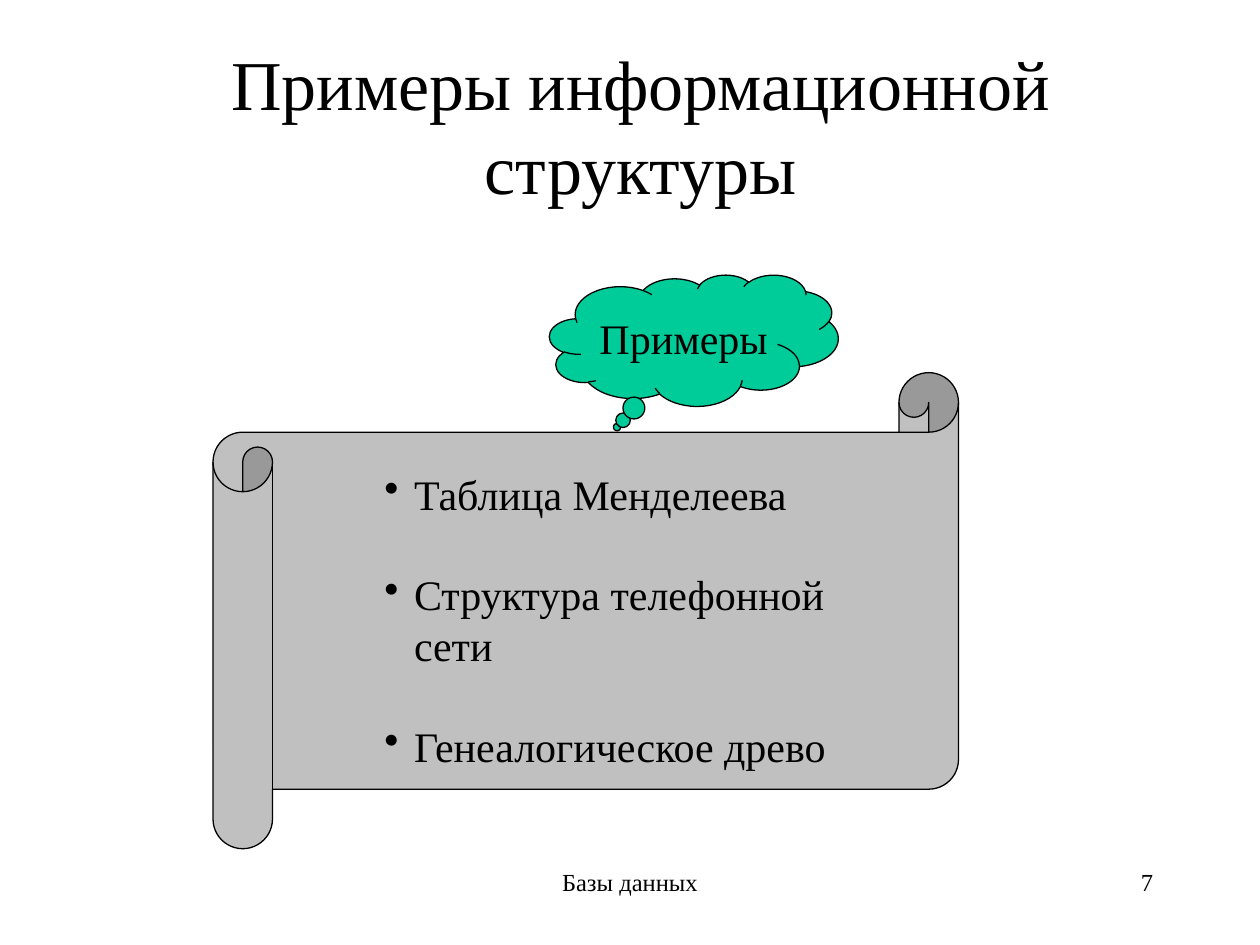
from pptx import Presentation
from pptx.dml.color import RGBColor
from pptx.enum.shapes import MSO_SHAPE
from pptx.enum.text import MSO_ANCHOR, PP_ALIGN
from pptx.oxml.ns import qn
from pptx.util import Pt
from lxml.etree import SubElement

COLORS = {"ink": "000000", "scroll": "C0C0C0", "cloud": "00CC99"}
FONT = "Times New Roman"
INDENT = 17


class Deck:
    def __init__(self):
        self.prs = Presentation()
        self.prs.slide_width, self.prs.slide_height = Pt(720), Pt(540)
        self.slide = self.prs.slides.add_slide(self.prs.slide_layouts[6])

    def color(self, name):
        return RGBColor.from_string(COLORS[name])

    def fill_text(self, frame, lines, size, align, anchor=MSO_ANCHOR.TOP, wrap=True):
        frame.word_wrap = wrap
        frame.vertical_anchor = anchor
        frame.text = "\n".join(lines)
        for para in frame.paragraphs:
            para.alignment = align
            para.line_spacing = Pt(size * 1.2)
            para.font.size = Pt(size)
            para.font.name = FONT
            para.font.color.rgb = self.color("ink")

    def text(self, box, lines, size, align, anchor=MSO_ANCHOR.TOP):
        frame = self.slide.shapes.add_textbox(*map(Pt, box)).text_frame
        self.fill_text(frame, lines, size, align, anchor)
        return frame

    def bullets(self, box, lines, size):
        """Add a bulleted list with one empty line's height between items."""
        frame = self.text(box, lines, size, PP_ALIGN.LEFT)
        for i, para in enumerate(frame.paragraphs):
            if i:
                para.space_before = Pt(size * 1.2)
            props = para._p.get_or_add_pPr()
            props.set("marL", str(Pt(INDENT)))
            props.set("indent", str(-Pt(INDENT)))
            mark = SubElement(props, qn("a:buChar"))
            mark.set("char", "•")
            props.find(qn("a:defRPr")).addprevious(mark)

    def shape(self, kind, box, fill, adjust):
        shape = self.slide.shapes.add_shape(kind, *map(Pt, box))
        shape.shadow.inherit = False
        shape.fill.solid()
        shape.fill.fore_color.rgb = self.color(fill)
        shape.line.color.rgb = self.color("ink")
        shape.line.width = Pt(0.75)
        for i, value in enumerate(adjust):
            shape.adjustments[i] = value
        return shape


def main():
    deck = Deck()
    deck.text((246, 492, 228, 36), ["Базы данных"], 14, PP_ALIGN.CENTER)
    deck.text((516, 492, 150, 36), ["7"], 14, PP_ALIGN.RIGHT)
    deck.text((60, 26, 612, 90), ["Примеры информационной\vструктуры"], 40,
              PP_ALIGN.CENTER, MSO_ANCHOR.MIDDLE)
    deck.shape(MSO_SHAPE.HORIZONTAL_SCROLL, (121.75, 213, 426, 272),
               "scroll", [0.125])
    cloud = deck.shape(MSO_SHAPE.CLOUD_CALLOUT, (314, 157, 165, 75),
                       "cloud", [-0.266, 0.661])
    deck.fill_text(cloud.text_frame, ["Примеры"], 24, PP_ALIGN.CENTER,
                   MSO_ANCHOR.MIDDLE, wrap=False)
    deck.bullets((212.5, 264, 308, 180),
                 ["Таблица Менделеева", "Структура телефонной сети",
                  "Генеалогическое древо"], 24)
    deck.prs.save("out.pptx")


if __name__ == "__main__":
    main()
